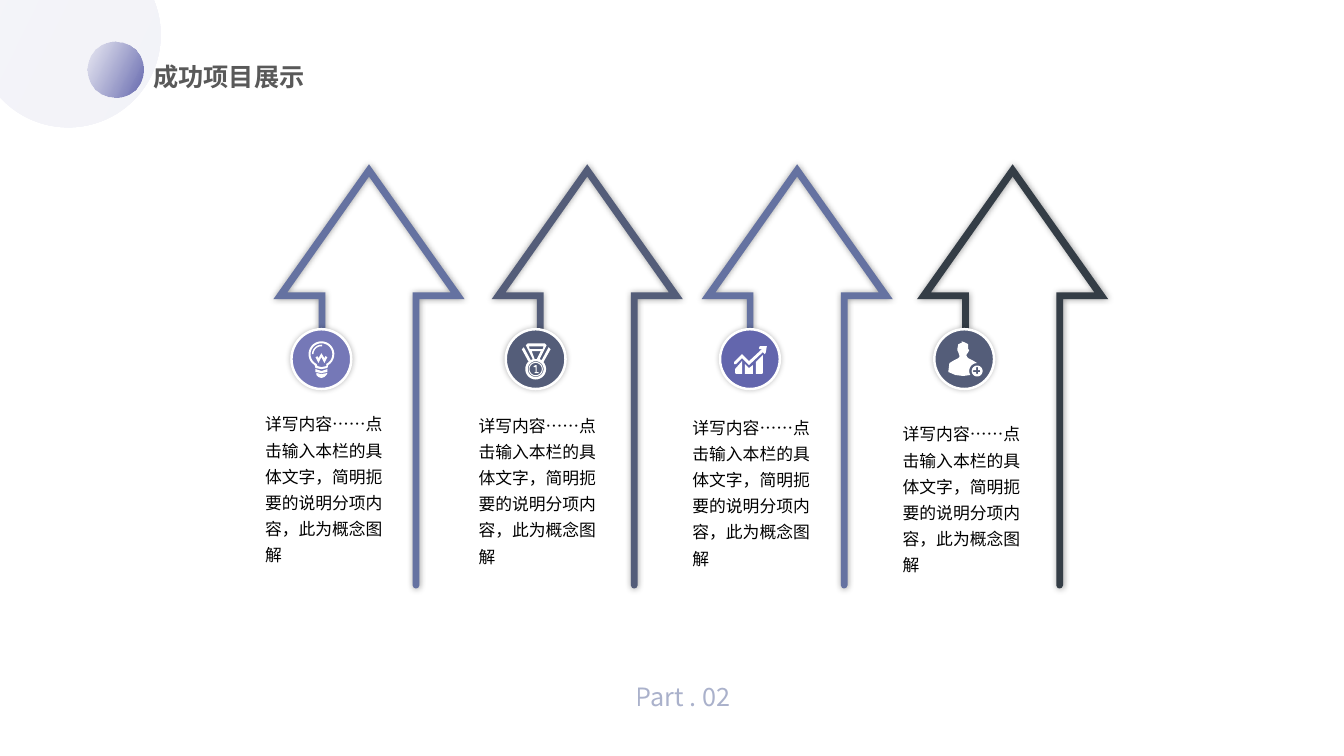
from math import cos, radians, sin

from lxml.etree import SubElement
from pptx import Presentation
from pptx.dml.color import RGBColor
from pptx.enum.shapes import MSO_SHAPE
from pptx.enum.text import MSO_ANCHOR, PP_ALIGN
from pptx.oxml.ns import qn
from pptx.util import Cm, Pt

FONT = "Noto Sans CJK SC"
COLORS = {
    "lilac": "7578B7", "violet": "6366AD", "steel": "6572A1", "slate": "545D79",
    "charcoal": "343D46", "title": "595959", "black": "000000", "white": "FFFFFF",
}
ICON_UNIT = 0.025


def arc(x, y, radius, start, end):
    """Points along an arc in degrees, clockwise from the right."""
    steps = 24
    angles = [radians(start + (end - start) * i / steps) for i in range(steps + 1)]
    return [(x + radius * cos(a), y + radius * sin(a)) for a in angles]


def finish(shape, color, shadow=False):
    """Give a shape a plain fill, no line and, if asked, a soft shadow."""
    shape.fill.solid()
    shape.fill.fore_color.rgb = RGBColor.from_string(COLORS[color])
    shape.line.fill.background()
    shape.shadow.inherit = False
    if shadow:
        effects = shape._element.spPr.find(qn("a:effectLst"))
        glow = SubElement(effects, qn("a:outerShdw"), blurRad=str(Pt(5)), dist="0", dir="0",
                          algn="ctr", rotWithShape="0")
        black = SubElement(glow, qn("a:srgbClr"), val=COLORS["black"])
        SubElement(black, qn("a:alpha"), val="40000")


presentation = Presentation()
presentation.slide_width = Cm(33.87)
presentation.slide_height = Cm(19.05)
slide = presentation.slides.add_slide(presentation.slide_layouts[5])
shapes = slide.shapes

# Corner circles: left, top, diameter, opacity of the two gradient stops
for left, top, diameter, opacities in [(-0.61, -1.45, 4.66, (8, 8)), (2.21, 1.05, 1.41, (8, 100))]:
    circle = shapes.add_shape(MSO_SHAPE.OVAL, Cm(left), Cm(top), Cm(diameter), Cm(diameter))
    finish(circle, "lilac")
    circle.fill.gradient()
    circle.fill.gradient_angle = 334
    for stop, position, color, opacity in zip(
            circle.fill.gradient_stops, (0, 1), ("lilac", "violet"), opacities):
        stop.position = position
        stop.color.rgb = RGBColor.from_string(COLORS[color])
        SubElement(stop._gs.find(qn("a:srgbClr")), qn("a:alpha"), val=str(opacity * 1000))

# Arrows, drawn around the horizontal position of the tip
ARROW = [(0, 4.14), (2.41, 7.54), (1.27, 7.54), (1.27, 14.75), (1.24, 14.81), (1.18, 14.83),
         (1.13, 14.81), (1.1, 14.75), (1.1, 7.37), (2.06, 7.37), (0, 4.45), (-2.06, 7.37),
         (-1.1, 7.37), (-1.1, 8.31), (-1.27, 8.31), (-1.27, 7.54), (-2.41, 7.54)]
for tip, color in [(9.3, "steel"), (14.8, "slate"), (20.09, "steel"), (25.52, "charcoal")]:
    points = [(Cm(tip + x), Cm(y)) for x, y in ARROW]
    builder = shapes.build_freeform(*points[0])
    builder.add_line_segments(points[1:])
    finish(builder.convert_to_shape(), color, shadow=True)

# Icons, as contours in icon units around the badge centre
bulb = [
    arc(0, -5, 13, 122, 418) + [(6, 9), (0, 10), (-6, 9)],
    arc(0, -5, 11, 116, 424) + [(5, 7), (0, 8), (-4, 7)],
    [(-6, 10), (0, 12), (6, 10), (6, 13), (0, 14), (-6, 13)],
    [(-5, 14), (0, 15), (6, 14), (5, 16), (3, 18), (0, 19), (-3, 18), (-5, 16)],
    arc(0, -5, 9.5, 180, 275) + arc(0, -5, 8, 275, 180),
    [(4, -3), (3, -1), (0, -6), (-3, -1), (-4, -3), (-6, -2), (-3, 4), (0, -2), (3, 4), (6, -2)],
]
medal = [
    [(15, -10), (13, -12), (6, 1), (4, 0), (11, -14), (9, -16), (-8, -16), (-10, -14),
     (-3, 0), (-5, 1), (-12, -12), (-14, -10), (-7, 3)] + arc(0, 10, 10.5, 222, -42),
    *[arc(0, 10, radius, 0, 360) for radius in (8, 7.2, 6.2)],
    [(-7, -13), (8, -13), (7, -10), (-6, -10)],
    [(-4, -8), (5, -8), (1, 0), (-1, 0)],
    [(1, 6), (0, 6), (-2, 7), (-2, 8), (0, 8), (0, 13), (-1, 13), (-1, 14), (3, 14),
     (3, 13), (1, 13)],
]
growth = [
    [(-15, 14), (-15, 10), (-8, 2), (-8, 15), (-14, 15)],
    [(-5, 5), (-1, 9), (3, 6), (3, 15), (-5, 15)],
    [(6, 3), (13, -4), (13, 14), (12, 15), (6, 15)],
    [(10, -13), (9, -11), (10, -10), (12, -10), (-1, 2), (-8, -5), (-16, 3), (-16, 5), (-14, 5),
     (-8, -1), (-1, 6), (14, -8), (13, -7), (15, -5), (16, -7), (17, -13)],
]
member = [
    arc(13, 12, 5.5, 0, 360),
    [(16, 13), (14, 13), (14, 15), (12, 15), (12, 13), (9, 13), (9, 11), (12, 11), (12, 8),
     (14, 8), (14, 11), (16, 11)],
    [(8, 1), (4, -1), (3, -2), (2, -4), (4, -7), (5, -9), (4, -10), (4, -15), (0, -17), (-3, -18),
     (-2, -17), (-6, -15), (-7, -10), (-7, -9), (-6, -7), (-5, -4), (-5, -2), (-6, -1), (-10, 1),
     (-15, 4), (-16, 12), (-16, 13), (-9, 16), (-1, 17), (6, 16)] + arc(13, 12, 8, 150, 270),
]

badge_y = 9.05
badges = [("lilac", bulb), ("slate", medal), ("violet", growth), ("slate", member)]
for column, (color, icon) in enumerate(badges):
    badge_x = 8.1 + 5.4 * column
    for preset, diameter, fill in [(MSO_SHAPE.OVAL, 1.5, color), (MSO_SHAPE.DONUT, 1.57, "white")]:
        badge = shapes.add_shape(preset, Cm(badge_x - diameter / 2), Cm(badge_y - diameter / 2),
                                 Cm(diameter), Cm(diameter))
        finish(badge, fill, shadow=preset == MSO_SHAPE.OVAL)
    badge.adjustments[0] = 0.04

    builder = None
    for contour in icon:
        points = [(Cm(badge_x + x * ICON_UNIT), Cm(badge_y + y * ICON_UNIT)) for x, y in contour]
        if builder is None:
            builder = shapes.build_freeform(*points[0])
        else:
            builder.move_to(*points[0])
        builder.add_line_segments(points[1:])
    finish(builder.convert_to_shape(), "white")

# Texts: holder, left, top, width, height, wording, size, colour
DETAIL = "详写内容……点击输入本栏的具体文字，简明扼要的说明分项内容，此为概念图解"
heading = shapes.title
part = shapes.add_textbox(0, 0, 0, 0)
texts = [(heading, 3.61, 1.42, 6.99, 1.02, "成功项目展示", 18, "title"),
         (part, 15.77, 16.89, 3.76, 1.3, "Part . 02", 18, "steel")]
for left, top in [(6.43, 10.16), (11.81, 10.19), (17.2, 10.24), (22.5, 10.41)]:
    texts.append((shapes.add_textbox(0, 0, 0, 0), left, top, 3.71, 4.27, DETAIL, 12, "black"))

for holder, left, top, width, height, wording, size, color in texts:
    holder.left, holder.top, holder.width, holder.height = Cm(left), Cm(top), Cm(width), Cm(height)
    frame = holder.text_frame
    frame.word_wrap = True
    frame.vertical_anchor = MSO_ANCHOR.MIDDLE if holder is part else MSO_ANCHOR.TOP
    frame.text = wording
    paragraph = frame.paragraphs[0]
    paragraph.alignment = PP_ALIGN.LEFT if wording == DETAIL else PP_ALIGN.JUSTIFY
    paragraph.line_spacing = 1.3 if wording == DETAIL else 1
    font = paragraph.font
    font.size = Pt(size)
    font.bold = holder is heading
    font.color.rgb = RGBColor.from_string(COLORS[color])
    font.name = FONT
    SubElement(font._element, qn("a:ea"), typeface=FONT)
    if holder is part:
        SubElement(font._element.find(".//" + qn("a:srgbClr")), qn("a:alpha"), val="54000")

presentation.save("out.pptx")
